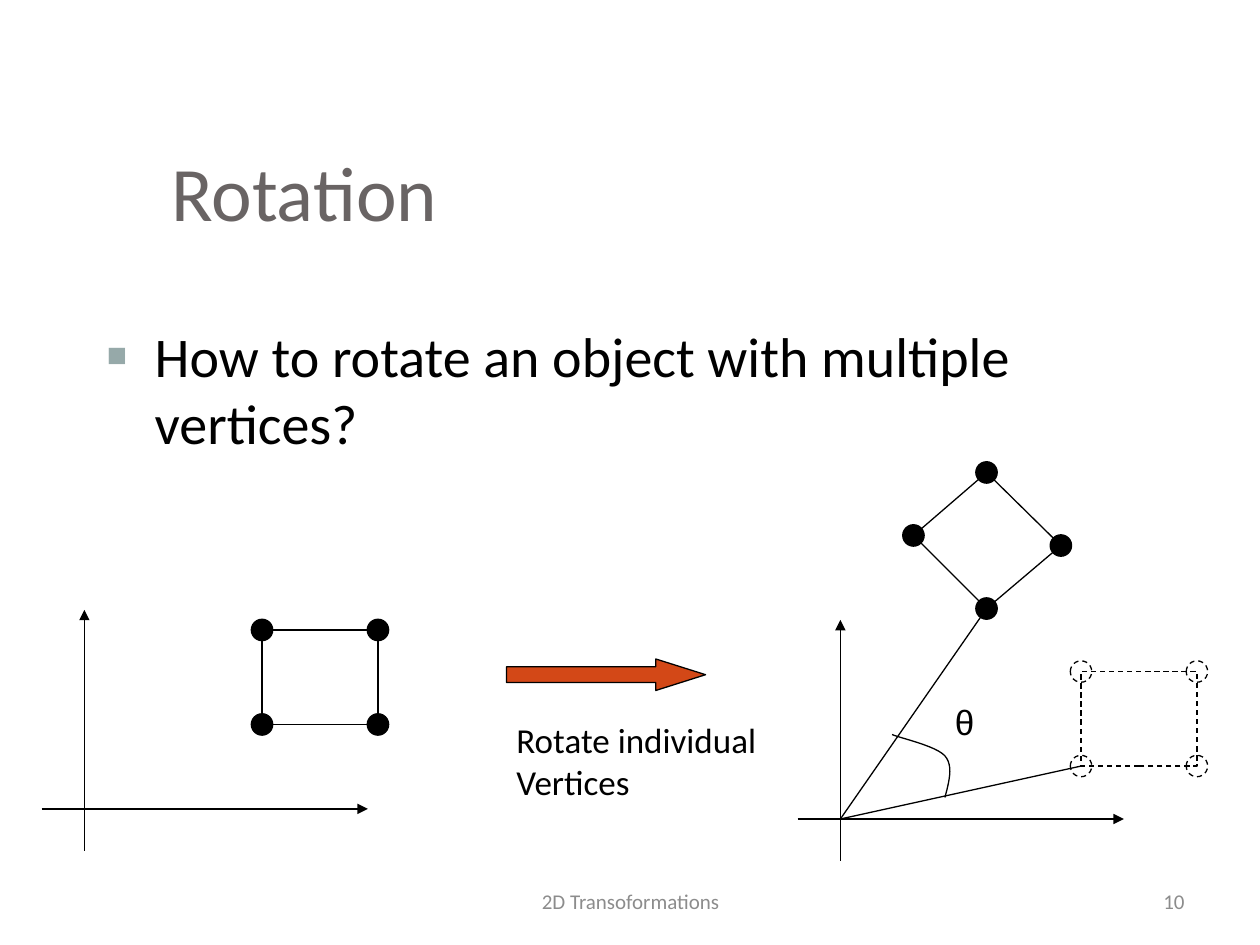
from lxml.etree import SubElement
from pptx import Presentation
from pptx.dml.color import RGBColor
from pptx.enum.dml import MSO_LINE
from pptx.enum.shapes import MSO_CONNECTOR, MSO_SHAPE
from pptx.enum.text import MSO_ANCHOR, PP_ALIGN
from pptx.oxml.ns import qn
from pptx.util import Inches, Pt

BLACK = "000000"
GRAY = "8C8C8C"
DOT = 0.17


def color(code):
    """Turn a hex string into a colour."""
    return RGBColor.from_string(code)


def write(frame, text, size=20, font="Calibri", ink=BLACK, align=PP_ALIGN.LEFT,
          anchor=MSO_ANCHOR.TOP, wrap=True):
    """Fill a text frame, one paragraph per line of text."""
    frame.word_wrap = wrap
    frame.vertical_anchor = anchor
    frame.text = text
    for para in frame.paragraphs:
        para.alignment = align
        para.font.size = Pt(size)
        para.font.name = font
        para.font.color.rgb = color(ink)


def label(slide, text, x, y, w, h, **style):
    """Add a text box and return its frame."""
    box = slide.shapes.add_textbox(Inches(x), Inches(y), Inches(w), Inches(h))
    write(box.text_frame, text, **style)
    return box.text_frame


def bullet(para, mark, ink, part):
    """Give a paragraph a hanging bullet."""
    props = para._p.get_or_add_pPr()
    props.set("marL", str(Inches(0.38)))
    props.set("indent", str(Inches(-0.38)))
    tint = SubElement(props, qn("a:buClr"))
    SubElement(tint, qn("a:srgbClr"), val=ink)
    SubElement(props, qn("a:buSzPct"), val=str(part * 1000))
    SubElement(props, qn("a:buFont"), typeface="Arial")
    SubElement(props, qn("a:buChar"), char=mark)


def paint(item, fill=None, dash=False):
    """Set the fill and outline of a shape."""
    item.shadow.inherit = False
    if fill:
        item.fill.solid()
        item.fill.fore_color.rgb = color(fill)
    else:
        item.fill.background()
    item.line.color.rgb = color(BLACK)
    item.line.width = Pt(0.75)
    if dash:
        item.line.dash_style = MSO_LINE.DASH


def shape(slide, kind, x, y, w, h, **look):
    """Add a painted preset shape."""
    item = slide.shapes.add_shape(kind, Inches(x), Inches(y), Inches(w), Inches(h))
    paint(item, **look)
    return item


def line(slide, start, end, arrow=False):
    """Draw a straight line, with an arrowhead at its end if asked."""
    ends = [Inches(v) for v in (*start, *end)]
    item = slide.shapes.add_connector(MSO_CONNECTOR.STRAIGHT, *ends)
    item.line.color.rgb = color(BLACK)
    item.line.width = Pt(0.75)
    if arrow:
        SubElement(item.line._get_or_add_ln(), qn("a:tailEnd"), type="triangle")
    SubElement(item._element.spPr, qn("a:effectLst"))


def axes(slide, x, y):
    """Draw a pair of axes that cross at a point."""
    line(slide, (x - 0.34, y), (x + 2.25, y), arrow=True)
    line(slide, (x, y + 0.33), (x, y - 1.58), arrow=True)


def dots(slide, points, **look):
    """Mark each vertex with a circle."""
    for x, y in points:
        shape(slide, MSO_SHAPE.OVAL, x - DOT / 2, y - DOT / 2, DOT, DOT, **look)


def block(slide, x, y, fill=None, dash=False):
    """Draw an upright rectangle with its four vertices."""
    w, h = 0.92, 0.75
    shape(slide, MSO_SHAPE.RECTANGLE, x, y, w, h, dash=dash)
    corners = [(x + i * w, y + j * h) for j in (1, 0) for i in (0, 1)]
    dots(slide, corners, fill=fill, dash=dash)


def turned(slide, points):
    """Draw the rotated outline with its vertices."""
    for start, end in zip(points, points[1:] + points[:1]):
        line(slide, start, end)
    dots(slide, points, fill=BLACK)


def bezier(a, b, c, d, steps=12):
    """List the points along a cubic curve after its start."""
    spots = []
    for i in range(1, steps + 1):
        t = i / steps
        u = 1 - t
        parts = (u ** 3, 3 * u * u * t, 3 * u * t * t, t ** 3)
        spots.append(tuple(sum(k * p[n] for k, p in zip(parts, (a, b, c, d)))
                           for n in (0, 1)))
    return spots


def arc(slide):
    """Draw the curve that marks the angle."""
    low, mid, top = (7.5, 6.33), (7.5, 6), (7.08, 5.83)
    spots = bezier(low, (7.53, 6.21), (7.57, 6.08), mid)
    spots += bezier(mid, (7.43, 5.92), (7.15, 5.86), top)
    pen = slide.shapes.build_freeform(Inches(low[0]), Inches(low[1]))
    pen.add_line_segments([(Inches(x), Inches(y)) for x, y in spots], close=False)
    paint(pen.convert_to_shape())


def heading(slide):
    """Place the title and the question."""
    title = slide.shapes.title
    title.left, title.top = Inches(1.26), Inches(0.68)
    title.width, title.height = Inches(8.52), Inches(1.25)
    write(title.text_frame, "Rotation", size=44, ink="696464", anchor=MSO_ANCHOR.BOTTOM)
    body = label(slide, "How to rotate an object with multiple vertices?",
                 0.75, 2.5, 8.5, 4.5, size=32)
    para = body.paragraphs[0]
    para.space_before = Pt(6.4)
    bullet(para, "■", "96A9A9", 60)


def before(slide):
    """Draw the object before its rotation."""
    axes(slide, 0.67, 6.42)
    block(slide, 2.08, 5, fill=BLACK)


def step(slide):
    """Draw the arrow between both states."""
    item = shape(slide, MSO_SHAPE.RIGHT_ARROW, 4.02, 5.23, 1.58, 0.25, fill="D34817")
    item.adjustments[1] = 1.58
    label(slide, "Rotate individual\nVertices", 4, 5.65, 2.25, 0.77, wrap=False)


def after(slide):
    """Draw the object after its rotation."""
    root, near = (6.67, 6.5), (7.83, 4.83)
    axes(slide, *root)
    block(slide, 8.58, 5.33, dash=True)
    turned(slide, [(7.25, 4.25), near, (8.42, 4.33), (7.83, 3.75)])
    for end in ((8.58, 6.08), near):
        line(slide, root, end)
    arc(slide)
    label(slide, "θ", 7.48, 5.51, 0.35, 0.43, font="Arial", wrap=False)


def footer(slide):
    """Place the page number and the footer."""
    style = dict(size=12, ink=GRAY, anchor=MSO_ANCHOR.MIDDLE)
    label(slide, "10", 7.17, 6.95, 2.33, 0.4, align=PP_ALIGN.RIGHT, **style)
    label(slide, "2D Transoformations", 3.42, 6.95, 3.17, 0.4,
          align=PP_ALIGN.CENTER, **style)


def main():
    """Build the slide and save it."""
    deck = Presentation()
    deck.slide_width, deck.slide_height = Inches(10), Inches(7.5)
    slide = deck.slides.add_slide(deck.slide_layouts[5])
    for part in (heading, before, step, after, footer):
        part(slide)
    deck.save("out.pptx")


if __name__ == "__main__":
    main()
